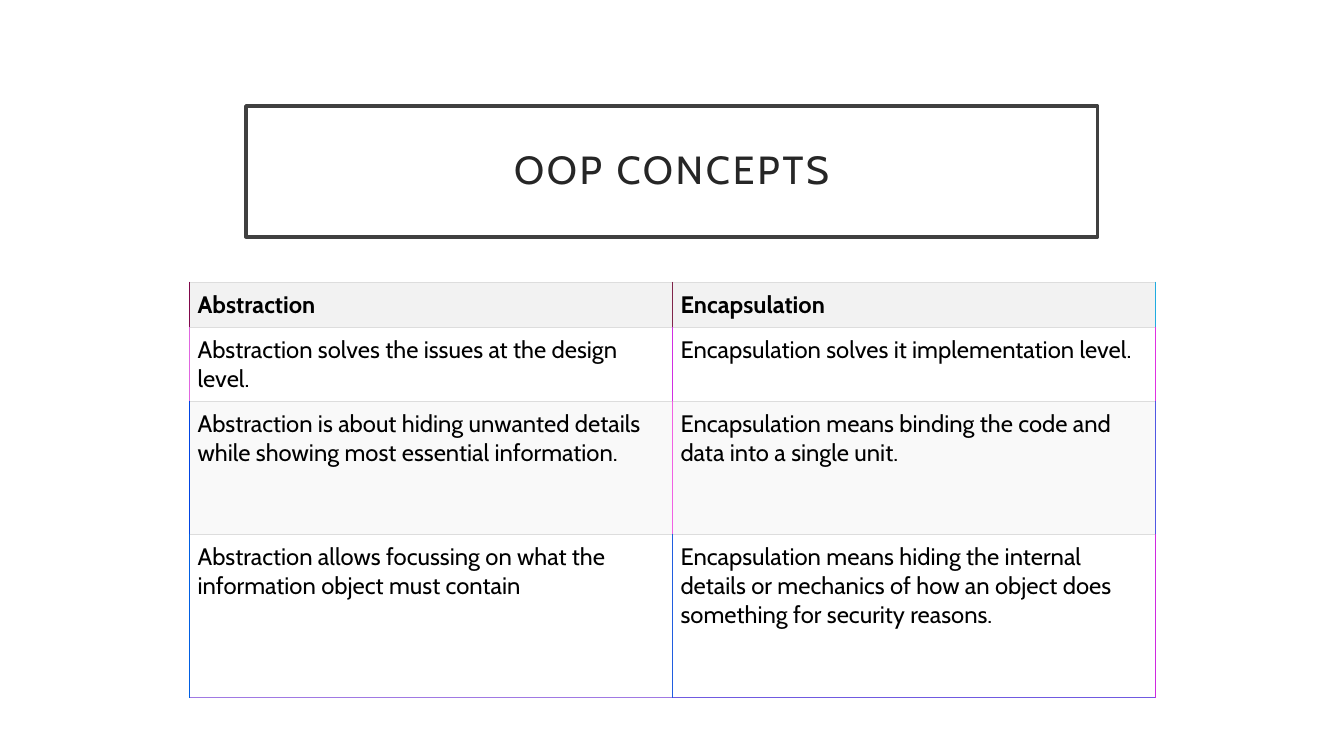
from lxml import etree
from pptx import Presentation
from pptx.dml.color import RGBColor
from pptx.enum import shapes, text
from pptx.oxml import ns
from pptx.util import Cm, Pt

GREY = "DDDDDD"


def rgb(value):
    return RGBColor.from_string(value)


def add_border(cell, side, color, width):
    ln = etree.SubElement(cell._tc.get_or_add_tcPr(), ns.qn(f"a:ln{side}"), w=str(Pt(width)))
    fill = etree.SubElement(ln, ns.qn("a:solidFill"))
    etree.SubElement(fill, ns.qn("a:srgbClr"), val=color)


prs = Presentation()
prs.slide_width, prs.slide_height = Cm(33.87), Cm(19.05)
slide = prs.slides.add_slide(prs.slide_layouts[6])

# Framed title
sp = slide.shapes.add_shape(shapes.MSO_SHAPE.RECTANGLE, Cm(6.2), Cm(2.67), Cm(21.46), Cm(3.3))
sp.shadow.inherit = False
sp.fill.solid()
sp.fill.fore_color.rgb = rgb("FFFFFF")
sp.line.color.rgb = rgb("404040")
sp.line.width = Pt(2.5)
tf = sp.text_frame
tf.word_wrap = True
tf.vertical_anchor = text.MSO_ANCHOR.MIDDLE
tf.margin_left = tf.margin_right = tf.margin_top = tf.margin_bottom = Cm(0.5)
p = tf.paragraphs[0]
p.alignment = text.PP_ALIGN.CENTER
p.line_spacing = 0.9
r = p.add_run()
r.text = "OOP CONCEPTS"
r.font.name, r.font.size = "Cabin", Pt(28)
r.font.color.rgb = rgb("262626")
r._r.get_or_add_rPr().set("spc", "200")

# Row height, fill, texts, and colours of the vertical and bottom borders
rows = [
    (1.13, "F2F2F2", ["Abstraction", "Encapsulation"],
     ["80074A", "80244A", "20ABE0"], [GREY, GREY]),
    (1.88, "FFFFFF", ["Abstraction solves the issues at the design level.",
                      "Encapsulation solves it implementation level."],
     ["E066E0", "D02EE1", "E030E1"], [GREY, GREY]),
    (3.35, "F9F9F9", ["Abstraction is about hiding unwanted details while showing "
                      "most essential information.",
                      "Encapsulation means binding the code and data into a single unit."],
     ["0044E3", "F061E3", "5058E3"], [GREY, GREY]),
    (4.1, "FFFFFF", ["Abstraction allows focussing on what the information object must contain",
                     "Encapsulation means hiding the internal details or mechanics of how "
                     "an object does something for security reasons."],
     ["005FE3", "205DE0", "D028E0"], ["A079E3", "705AE0"]),
]

# Comparison table
frame = slide.shapes.add_table(len(rows), 2, Cm(4.78), Cm(7.11), Cm(24.34), Cm(10.46))
table = frame.table
table.horz_banding = False
for column in table.columns:
    column.width = Cm(12.17)
for i, (height, fill, texts, verticals, bottoms) in enumerate(rows):
    table.rows[i].height = Cm(height)
    for j, words in enumerate(texts):
        cell = table.cell(i, j)
        cell.margin_left = cell.margin_right = cell.margin_top = cell.margin_bottom = Cm(0.2)
        r = cell.text_frame.paragraphs[0].add_run()
        r.text = words
        r.font.name, r.font.size, r.font.bold = "Cabin", Pt(17), i == 0
        r.font.color.rgb = rgb("000000")
        # Borders come before the fill in the cell properties
        for side, color in zip("LRTB", [verticals[j], verticals[j + 1], GREY, bottoms[j]]):
            thin = color == GREY or (i == 0 and j + (side == "R") < 2)
            add_border(cell, side, color, 0.75 if thin else 1)
        cell.fill.solid()
        cell.fill.fore_color.rgb = rgb(fill)

prs.save("out.pptx")
